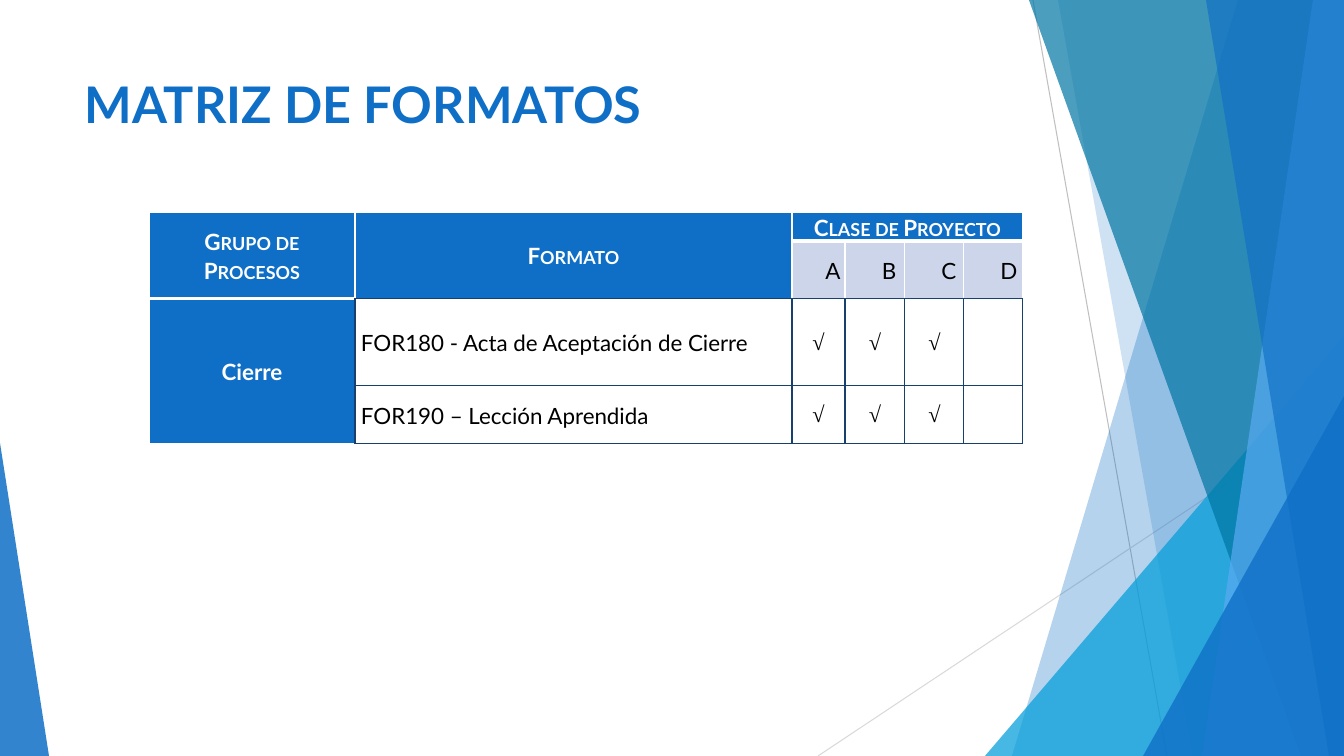
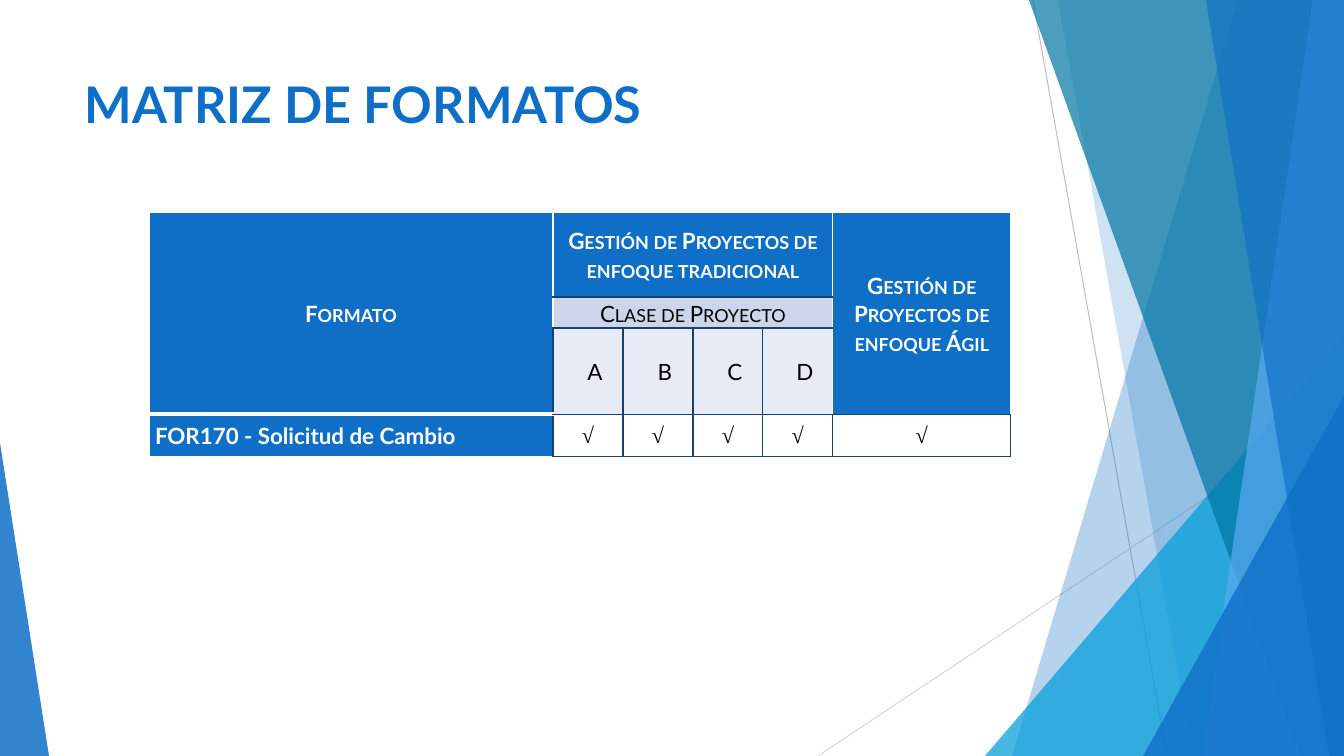
from dataclasses import dataclass, replace

from lxml import etree
from pptx import Presentation
from pptx.dml.color import RGBColor
from pptx.enum.shapes import MSO_CONNECTOR, MSO_SHAPE
from pptx.enum.text import MSO_ANCHOR, PP_ALIGN
from pptx.oxml.ns import qn
from pptx.util import Emu, Pt

STRAIGHT = MSO_CONNECTOR.STRAIGHT
TRIANGLE = MSO_SHAPE.ISOSCELES_TRIANGLE
TOP, MIDDLE = MSO_ANCHOR.TOP, MSO_ANCHOR.MIDDLE
LEFT, CENTER = PP_ALIGN.LEFT, PP_ALIGN.CENTER


@dataclass(frozen=True)
class Theme:
    """Colours, fonts and type sizes of the deck."""
    blue: str = "0F6FC6"
    cyan: str = "009DD9"
    teal: str = "0076A3"
    sky: str = "59AAF2"
    navy: str = "17406D"
    lavender: str = "CCD5EA"
    mist: str = "E7EBF5"
    white: str = "FFFFFF"
    black: str = "000000"
    gray: str = "BFBFBF"
    silver: str = "D9D9D9"
    font: str = "Lato"
    check_font: str = "Times New Roman"
    title_size: int = 36
    table_size: int = 16
    table_spacing: float = 1.07


@dataclass(frozen=True)
class Box:
    """A region in px."""
    left: int
    top: int
    width: int
    height: int


@dataclass(frozen=True)
class CellStyle:
    """Look of one kind of table cell."""
    fill: str
    color: str
    bold: bool = False
    small: bool = False
    align: PP_ALIGN = CENTER
    font: str = "Lato"
    indent: int = 0
    left: str = "FFFFFF"
    right: str = "FFFFFF"
    top: str = "FFFFFF"
    bottom: str = "FFFFFF"
    bottom_width: int = 1


THEME = Theme()
PAGE = Box(0, 0, 1344, 756)
TITLE = Box(75, 68, 948, 145)
TABLE_LEFT, TABLE_TOP = 149, 212
CELL_INSET = 6
CHECK = "√"
CLASSES = "ABCD"

HEADER = CellStyle(THEME.blue, THEME.white, bold=True, small=True)
HEADER_THICK = replace(HEADER, bottom_width=3)
HEADER_NAVY = replace(HEADER, bottom=THEME.navy)
GROUP = replace(HEADER, small=False, right=THEME.navy)
GROUP_LEFT = replace(GROUP, align=LEFT)
BODY = CellStyle(THEME.white, THEME.black, align=LEFT, left=THEME.navy,
                 right=THEME.navy, top=THEME.navy, bottom=THEME.navy)
MARK = replace(BODY, align=CENTER, font=THEME.check_font)
LETTER = CellStyle(THEME.lavender, THEME.black, small=True, indent=14,
                   bottom=THEME.navy)
LETTER_MIST = replace(MARK, fill=THEME.mist, font=THEME.font, indent=14)
SUBHEADER = replace(LETTER, indent=0, top=THEME.navy)

BANDS_BACK = [(1238, 1012, THEME.blue, 30), (1058, 1193, THEME.blue, 20)]
BANDS_FRONT = [(1029, 1301, THEME.teal, 70), (1313, 1202, THEME.sky, 70),
               (1206, 1329, THEME.blue, 65)]
PEAK_BACK = (Box(985, 336, 359, 420), 1, THEME.cyan, 72)
PEAKS_FRONT = [(Box(1143, 396, 201, 360), 1, THEME.blue, 80),
               (Box(0, 443, 49, 313), 0, THEME.blue, 85)]
RAYS = [((1033, 0), (1167, 756), THEME.gray),
        ((1344, 406), (818, 756), THEME.silver)]


def px(length):
    """Turn px into EMU."""
    return Emu(round(length * 914400 / 100.8))


def rgb(color):
    """Turn a hex string into a colour."""
    return RGBColor.from_string(color)


def write_text(frame, text, *, size, color, font=THEME.font, bold=False,
               small=False, align=LEFT, spacing=1.0, indent=0):
    """Write one formatted paragraph into a text frame."""
    frame.word_wrap = True
    paragraph = frame.paragraphs[0]
    paragraph.alignment = align
    paragraph.line_spacing = spacing
    if indent:
        paragraph._p.get_or_add_pPr().set("marL", str(px(indent)))
    if not text:
        end = etree.SubElement(paragraph._p, qn("a:endParaRPr"))
        end.set("sz", str(size * 100))
        return
    run = paragraph.add_run()
    run.text = text
    run.font.size = Pt(size)
    run.font.name = font
    run.font.bold = bold
    run.font.color.rgb = rgb(color)
    if small:
        run._r.get_or_add_rPr().set("cap", "small")


def paint(shape, color, opacity):
    """Give a shape a translucent fill without outline or shadow."""
    shape.shadow.inherit = False
    shape.fill.solid()
    shape.fill.fore_color.rgb = rgb(color)
    shape.line.fill.background()
    tint = next(shape._element.spPr.iter(qn("a:srgbClr")))
    etree.SubElement(tint, qn("a:alpha")).set("val", str(opacity * 1000))


def add_band(slide, box, top_x, bottom_x, color, opacity):
    """Draw a slanted band that runs to the right edge of the box."""
    right, bottom = box.left + box.width, box.top + box.height
    outline = slide.shapes.build_freeform(px(box.left + top_x), px(box.top))
    outline.add_line_segments([(px(right), px(box.top)),
                               (px(right), px(bottom)),
                               (px(box.left + bottom_x), px(bottom))])
    paint(outline.convert_to_shape(), color, opacity)


def add_peak(slide, box, area, apex, color, opacity):
    """Draw a right triangle inside the box."""
    peak = slide.shapes.add_shape(
        TRIANGLE, px(box.left + area.left), px(box.top + area.top),
        px(area.width), px(area.height))
    peak.adjustments[0] = apex
    paint(peak, color, opacity)


def add_ray(slide, box, start, end, color):
    """Draw a thin line inside the box."""
    ray = slide.shapes.add_connector(
        STRAIGHT, px(box.left + start[0]), px(box.top + start[1]),
        px(box.left + end[0]), px(box.top + end[1]))
    ray.line.color.rgb = rgb(color)
    ray.line.width = Pt(0.75)
    etree.SubElement(ray._element.spPr, qn("a:effectLst"))


def add_facets(slide, box):
    """Draw the shared backdrop of rays, bands and triangles."""
    for ray in RAYS:
        add_ray(slide, box, *ray)
    for band in BANDS_BACK:
        add_band(slide, box, *band)
    add_peak(slide, box, *PEAK_BACK)
    for band in BANDS_FRONT:
        add_band(slide, box, *band)
    for peak in PEAKS_FRONT:
        add_peak(slide, box, *peak)


def add_title(slide, box, text):
    """Write the slide title."""
    title = slide.shapes.add_textbox(px(box.left), px(box.top),
                                     px(box.width), px(box.height))
    title.text_frame.vertical_anchor = TOP
    write_text(title.text_frame, text, size=THEME.title_size,
               color=THEME.blue, bold=True)


def add_edge(cell, tag, color, width):
    """Add one border to a cell."""
    edge = etree.SubElement(cell._tc.get_or_add_tcPr(), qn(tag))
    edge.set("w", str(Pt(width)))
    fill = etree.SubElement(edge, qn("a:solidFill"))
    etree.SubElement(fill, qn("a:srgbClr")).set("val", color)


def style_cell(cell, text, style):
    """Apply a style and text to a cell."""
    cell.margin_left = cell.margin_right = px(CELL_INSET)
    cell.margin_top = cell.margin_bottom = 0
    cell.vertical_anchor = MIDDLE
    add_edge(cell, "a:lnL", style.left, 1)
    add_edge(cell, "a:lnR", style.right, 1)
    add_edge(cell, "a:lnT", style.top, 1)
    add_edge(cell, "a:lnB", style.bottom, style.bottom_width)
    cell.fill.solid()
    cell.fill.fore_color.rgb = rgb(style.fill)
    write_text(cell.text_frame, text, size=THEME.table_size,
               color=style.color, font=style.font, bold=style.bold,
               small=style.small, align=style.align,
               spacing=THEME.table_spacing, indent=style.indent)


def add_matrix(slide, left, top, widths, heights, entries):
    """Build a table from (row, column, row span, column span, text, style)."""
    table = slide.shapes.add_table(
        len(heights), len(widths), px(left), px(top),
        px(sum(widths)), px(sum(heights))).table
    table.first_row = table.horz_banding = False
    for column, width in zip(table.columns, widths):
        column.width = px(width)
    for line, height in zip(table.rows, heights):
        line.height = px(height)
    for row, col, rows, cols, text, style in entries:
        for r in range(row, row + rows):
            for c in range(col, col + cols):
                shown = text if (r, c) == (row, col) else ""
                style_cell(table.cell(r, c), shown, style)
        if rows * cols > 1:
            table.cell(row, col).merge(
                table.cell(row + rows - 1, col + cols - 1))


def row_entries(row, first_col, texts, style):
    """List single cells of one style along a row."""
    return [(row, first_col + i, 1, 1, text, style)
            for i, text in enumerate(texts)]


def closing_entries():
    """List the cells of the closing formats matrix."""
    entries = [(0, 0, 2, 1, "Grupo de Procesos", HEADER_THICK),
               (0, 1, 2, 1, "Formato", HEADER_NAVY),
               (0, 2, 1, 4, "Clase de Proyecto", HEADER_THICK),
               (2, 0, 2, 1, "Cierre", GROUP)]
    entries += row_entries(1, 2, CLASSES, LETTER)
    formats = ["FOR180 - Acta de Aceptación de Cierre",
               "FOR190 – Lección Aprendida"]
    for row, name in enumerate(formats, 2):
        entries.append((row, 1, 1, 1, name, BODY))
        entries += row_entries(row, 2, [CHECK] * 3 + [""], MARK)
    return entries


def change_entries():
    """List the cells of the change request matrix."""
    return [(0, 0, 3, 1, "Formato", HEADER_THICK),
            (0, 1, 1, 4, "Gestión de Proyectos de enfoque tradicional",
             HEADER_NAVY),
            (0, 5, 3, 1, "Gestión de Proyectos de enfoque Ágil", HEADER_NAVY),
            (1, 1, 1, 4, "Clase de Proyecto", SUBHEADER),
            *row_entries(2, 1, CLASSES, LETTER_MIST),
            (3, 0, 1, 1, "FOR170 - Solicitud de Cambio", GROUP_LEFT),
            *row_entries(3, 1, [CHECK] * 5, MARK)]


def add_matrix_slide(deck, widths, heights, entries):
    """Add one slide with backdrop, title and matrix."""
    slide = deck.slides.add_slide(deck.slide_layouts[6])
    add_facets(slide, PAGE)
    add_title(slide, TITLE, "MATRIZ DE FORMATOS")
    add_matrix(slide, TABLE_LEFT, TABLE_TOP, widths, heights, entries)


def main():
    """Build and save the deck."""
    deck = Presentation()
    deck.slide_width, deck.slide_height = px(PAGE.width), px(PAGE.height)
    add_matrix_slide(deck, [206, 437, 53, 60, 59, 59], [29, 57, 87, 58],
                     closing_entries())
    add_matrix_slide(deck, [404, 70, 70, 70, 70, 178], [85, 31, 85, 42],
                     change_entries())
    deck.save("out.pptx")


if __name__ == "__main__":
    main()
